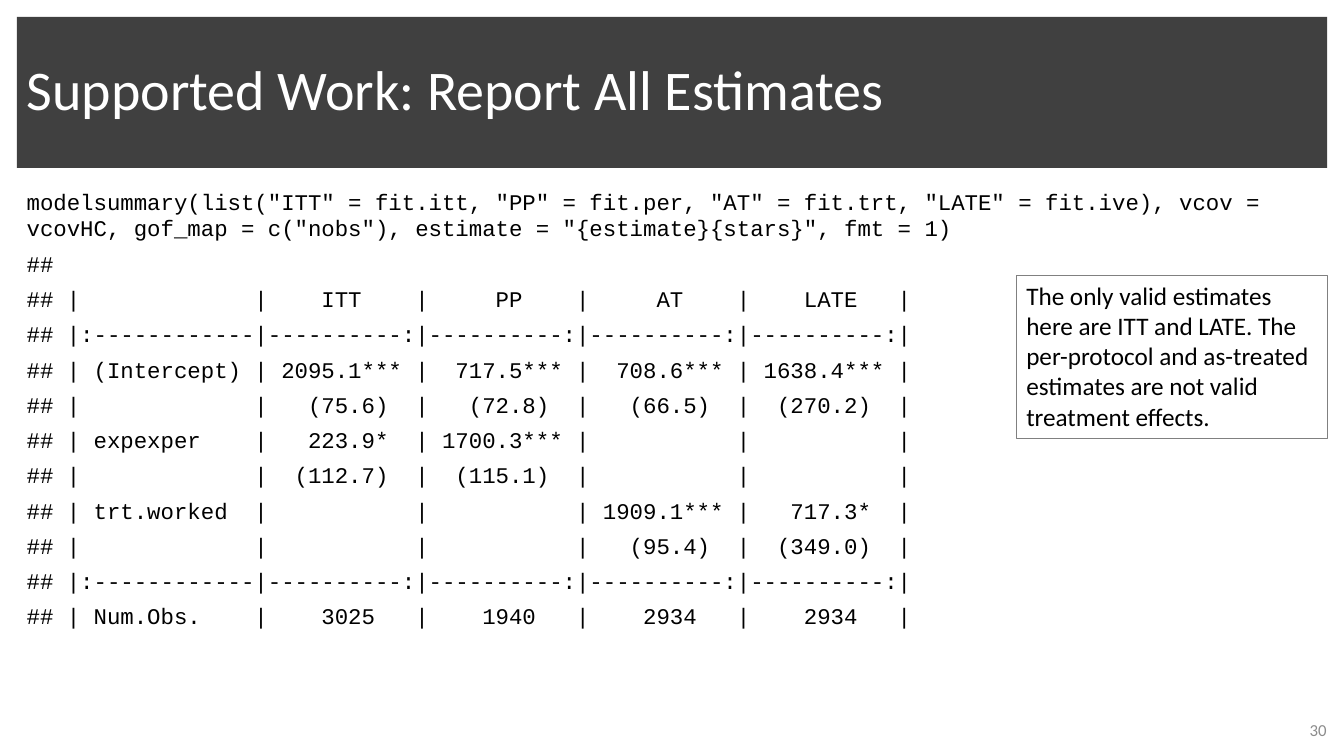
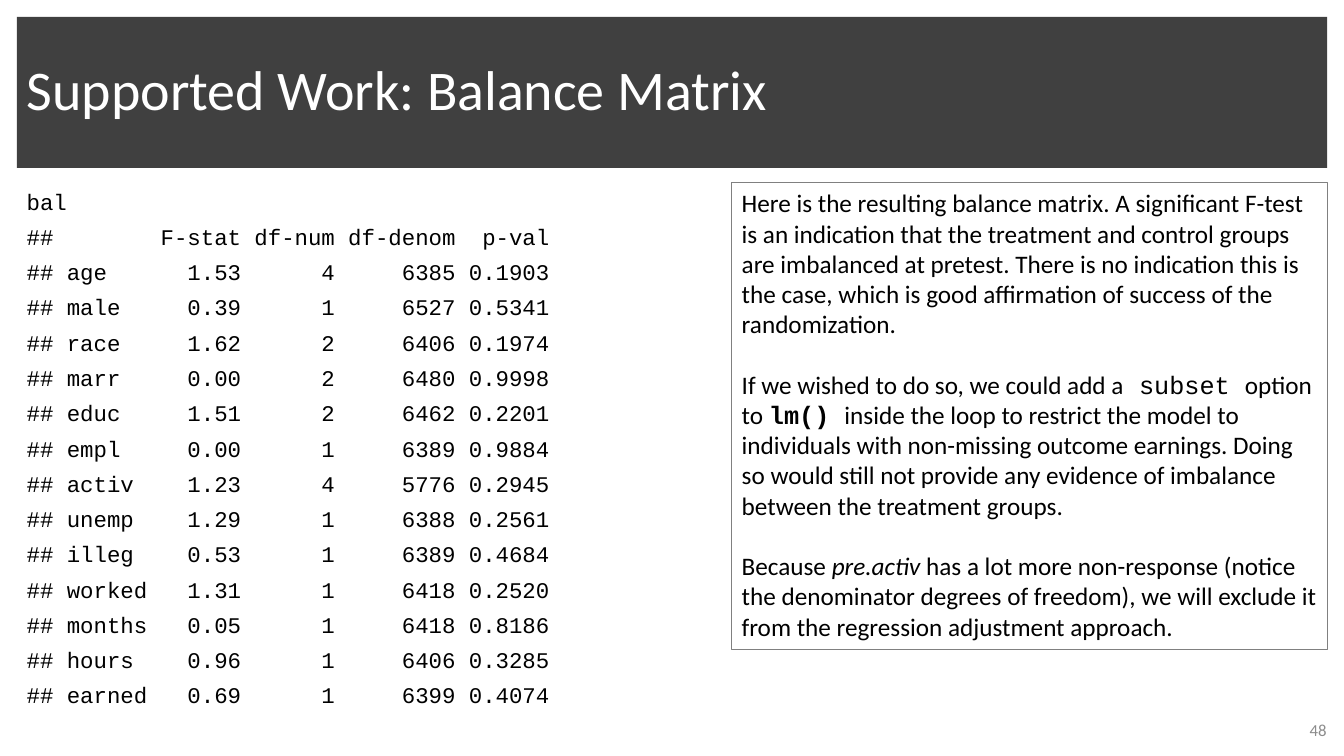
from pptx import Presentation
from pptx import util as u
from pptx.dml.color import RGBColor
from pptx.enum import shapes, text

PX = 9525
SLIDE_SIZE = (1280, 720)
TITLE_BOX = (16, 16, 1248, 144)
BODY_BOX = (16, 174, 1248, 531)
NUMBER_BOX = (937, 676, 336, 38)

BLACK = RGBColor(0x00, 0x00, 0x00)
WHITE = RGBColor(0xFF, 0xFF, 0xFF)
BAND = RGBColor(0x40, 0x40, 0x40)
BORDER = RGBColor(0x80, 0x80, 0x80)
MUTED = RGBColor(0x8C, 0x8C, 0x8C)

SANS = "Calibri"
MONO = "Courier New"

MODEL_CALL = ('modelsummary(list("ITT" = fit.itt, "PP" = fit.per, "AT" = fit.trt, '
              '"LATE" = fit.ive), vcov = vcovHC, gof_map = c("nobs"), '
              'estimate = "{estimate}{stars}", fmt = 1)')
MODELS = ("", "ITT", "PP", "AT", "LATE")
ESTIMATES = [
    ("(Intercept)", "2095.1***", "717.5***", "708.6***", "1638.4***"),
    ("", "(75.6)", "(72.8)", "(66.5)", "(270.2)"),
    ("expexper", "223.9*", "1700.3***", "", ""),
    ("", "(112.7)", "(115.1)", "", ""),
    ("trt.worked", "", "", "1909.1***", "717.3*"),
    ("", "", "", "(95.4)", "(349.0)"),
]
OBSERVATIONS = ("Num.Obs.", "3025", "1940", "2934", "2934")

BALANCE = [
    ("", "F-stat", "df-num", "df-denom", "p-val"),
    ("age", "1.53", "4", "6385", "0.1903"),
    ("male", "0.39", "1", "6527", "0.5341"),
    ("race", "1.62", "2", "6406", "0.1974"),
    ("marr", "0.00", "2", "6480", "0.9998"),
    ("educ", "1.51", "2", "6462", "0.2201"),
    ("empl", "0.00", "1", "6389", "0.9884"),
    ("activ", "1.23", "4", "5776", "0.2945"),
    ("unemp", "1.29", "1", "6388", "0.2561"),
    ("illeg", "0.53", "1", "6389", "0.4684"),
    ("worked", "1.31", "1", "6418", "0.2520"),
    ("months", "0.05", "1", "6418", "0.8186"),
    ("hours", "0.96", "1", "6406", "0.3285"),
    ("earned", "0.69", "1", "6399", "0.4074"),
]

ESTIMATES_NOTE = [
    "The only valid estimates here are ITT and LATE. The per-protocol and "
    "as-treated estimates are not valid treatment effects.",
]
BALANCE_NOTE = [
    "Here is the resulting balance matrix. A significant F-test is an indication "
    "that the treatment and control groups are imbalanced at pretest. There is no "
    "indication this is the case, which is good affirmation of success of the "
    "randomization.",
    [("If we wished to do so, we could add a", {}),
     (" subset ", {"font": MONO}),
     ("option to ", {}),
     ("lm() ", {"font": MONO, "bold": True}),
     ("inside the loop to restrict the model to individuals with non-missing "
      "outcome earnings. Doing so would still not provide any evidence of "
      "imbalance between the treatment groups.", {})],
    [("Because ", {}),
     ("pre.activ", {"italic": True}),
     (" has a lot more non-response (notice the denominator degrees of freedom), "
      "we will exclude it from the regression adjustment approach.", {})],
]


def emu(box):
    return [u.Emu(length * PX) for length in box]


def write(shape, paragraphs, font=SANS, size=18, color=BLACK, align=text.PP_ALIGN.LEFT,
          anchor=text.MSO_ANCHOR.TOP, before=0, gap=0, line_spacing=1.0):
    """Fill a shape; a paragraph is a string or a list of (text, run format).

    before is the space above every paragraph, gap the extra space between two.
    """
    frame = shape.text_frame
    frame.word_wrap = True
    frame.auto_size = text.MSO_AUTO_SIZE.NONE
    frame.vertical_anchor = anchor
    for index, content in enumerate(paragraphs):
        paragraph = frame.add_paragraph() if index else frame.paragraphs[0]
        paragraph.alignment = align
        paragraph.line_spacing = line_spacing
        paragraph.space_before = u.Pt(before + (gap if index else 0))
        runs = [(content, {})] if isinstance(content, str) else content
        for words, style in runs:
            run = paragraph.add_run()
            run.text = words
            run.font.name = style.get("font", font)
            run.font.size = u.Pt(size)
            run.font.color.rgb = color
            run.font.bold = style.get("bold", False)
            run.font.italic = style.get("italic", False)


def add_title(slide, box, words):
    title = slide.shapes.title
    title.left, title.top, title.width, title.height = emu(box)
    title.fill.solid()
    title.fill.fore_color.rgb = BAND
    write(title, [words], size=40, color=WHITE, anchor=text.MSO_ANCHOR.MIDDLE,
          line_spacing=0.9)


def add_console(slide, box, lines):
    write(slide.shapes.add_textbox(*emu(box)), lines, font=MONO, size=16, before=6)


def add_note(slide, box, paragraphs):
    note = slide.shapes.add_shape(shapes.MSO_SHAPE.RECTANGLE, *emu(box))
    note.shadow.inherit = False
    note.fill.background()
    note.line.color.rgb = BORDER
    note.line.width = u.Pt(0.75)
    write(note, paragraphs, gap=21.6)


def add_number(slide, box, number):
    write(slide.shapes.add_textbox(*emu(box)), [str(number)], size=12, color=MUTED,
          align=text.PP_ALIGN.RIGHT, anchor=text.MSO_ANCHOR.MIDDLE)


def estimate_lines():
    def line(row):
        label, *cells = row
        return f"## | {label:<11} |" + "".join(f" {cell:^10}|" for cell in cells)

    rule = "## |:" + "-" * 12 + "|" + ("-" * 10 + ":|") * 4
    return [MODEL_CALL, "##", line(MODELS), rule, *map(line, ESTIMATES), rule,
            line(OBSERVATIONS)]


def balance_lines():
    return ["bal"] + [
        f"## {name:<6} {f_stat:>6} {df_num:>6} {df_denom:>8} {p_value:>6}"
        for name, f_stat, df_num, df_denom, p_value in BALANCE
    ]


def add_output_slide(presentation, title, lines, note_box, note, number):
    slide = presentation.slides.add_slide(presentation.slide_layouts[5])
    add_title(slide, TITLE_BOX, title)
    add_console(slide, BODY_BOX, lines)
    add_number(slide, NUMBER_BOX, number)
    add_note(slide, note_box, note)


def main():
    presentation = Presentation()
    presentation.slide_width, presentation.slide_height = emu(SLIDE_SIZE)
    add_output_slide(presentation, "Supported Work: Report All Estimates",
                     estimate_lines(), (968, 262, 296, 156), ESTIMATES_NOTE, 30)
    add_output_slide(presentation, "Supported Work: Balance Matrix",
                     balance_lines(), (697, 174, 567, 445), BALANCE_NOTE, 48)
    presentation.save("out.pptx")


if __name__ == "__main__":
    main()
